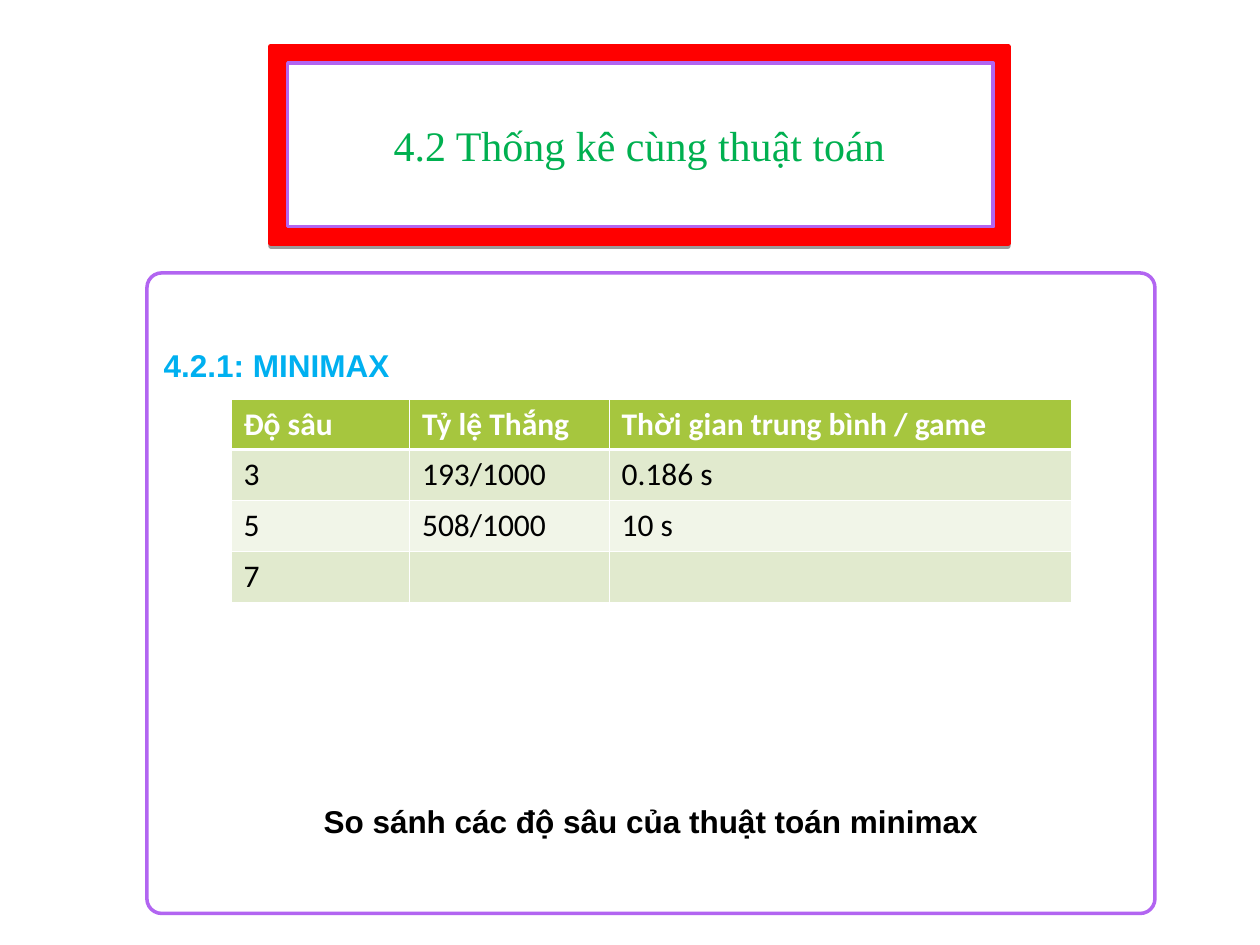
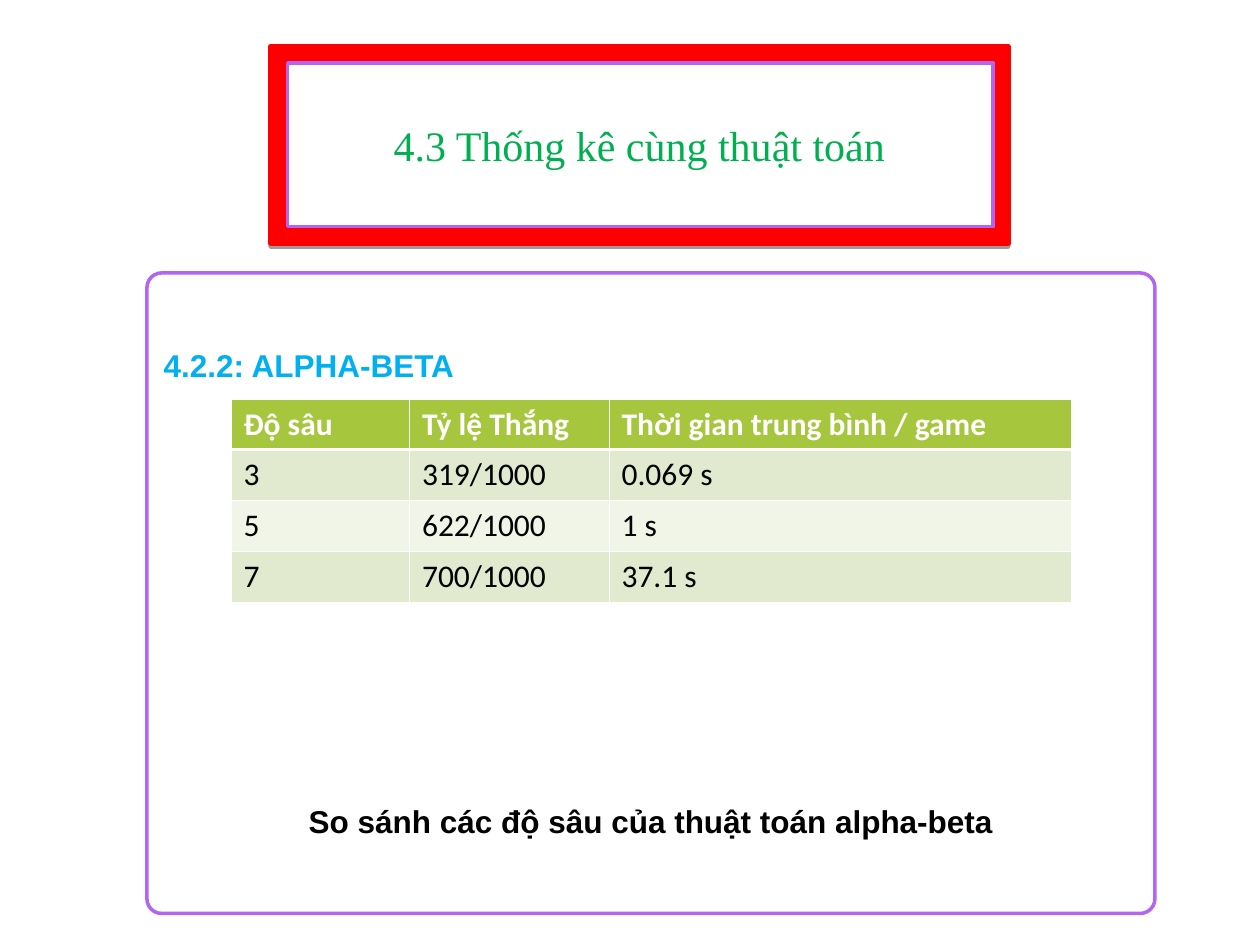
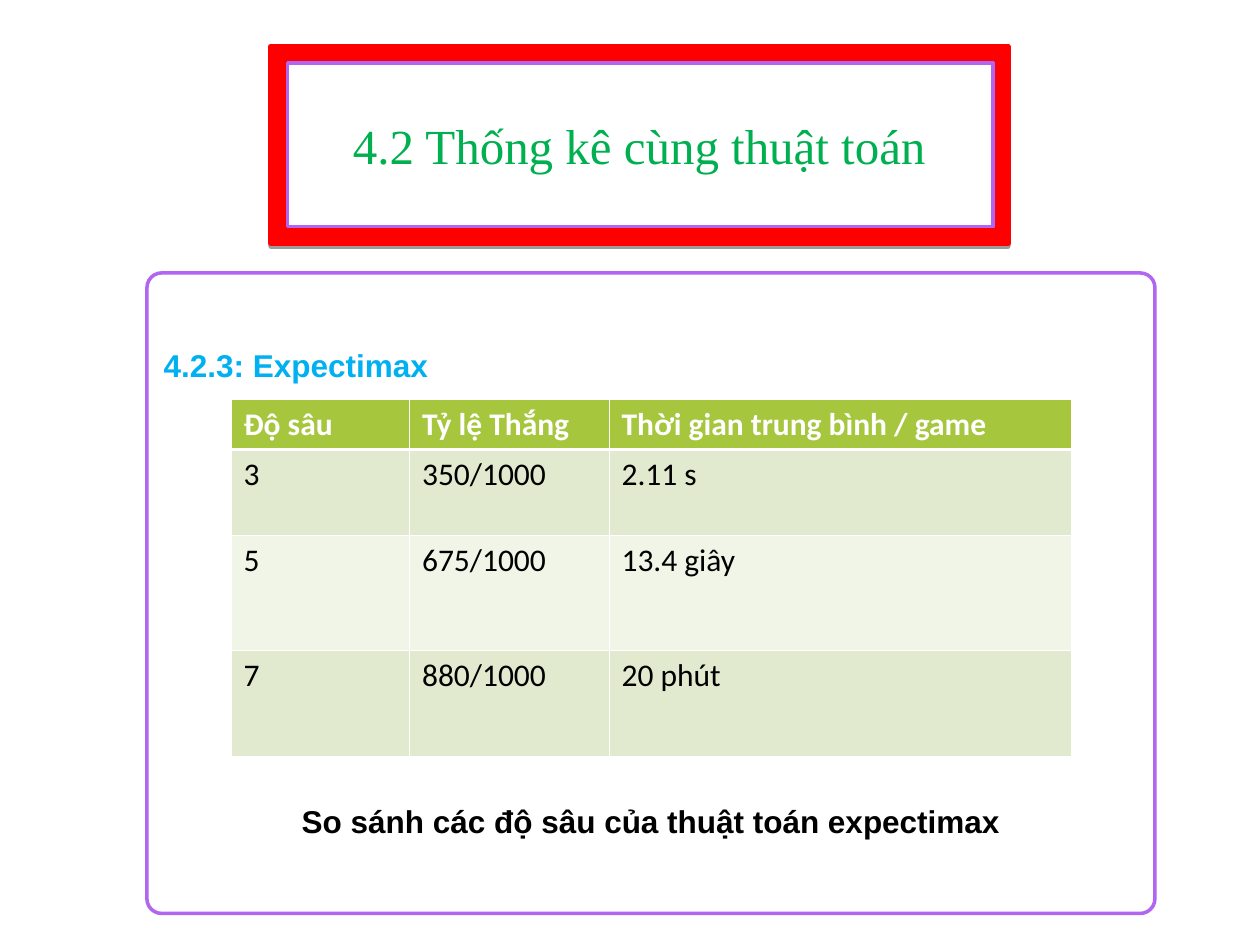
from lxml import etree
from pptx import Presentation
from pptx.dml.color import RGBColor
from pptx.enum.shapes import MSO_SHAPE
from pptx.enum.text import MSO_ANCHOR, PP_ALIGN
from pptx.oxml import parse_xml
from pptx.oxml.ns import nsdecls, qn
from pptx.util import Inches, Pt

RECTANGLE, ROUNDED = MSO_SHAPE.RECTANGLE, MSO_SHAPE.ROUNDED_RECTANGLE
MIDDLE = MSO_ANCHOR.MIDDLE
LEFT, CENTER = PP_ALIGN.LEFT, PP_ALIGN.CENTER

# Shared style
WHITE, BLACK, RED, PURPLE = "FFFFFF", "000000", "FF0000", "B265F1"
TITLE_GREEN, HEADING_BLUE = "00B050", "00B0F0"
HEADER_FILL, BAND_FILLS = "A6C63E", ("E1EACE", "F1F5E8")
TITLE_FONT, BODY_FONT, TABLE_FONT = "Times New Roman", "Arial", "Calibri"
BODY_SIZE = 18
CAPTION_GAP = 239
THIN, THICK = 0.45, 1.47

# Grid of 60 columns and 45 rows on a 10 by 7.5 inch slide
COLUMNS, ROWS = 60, 45
PANEL = (7, 13, 48, 30.5)
FRAME = (12.9, 2.2, 35.1, 9.4)
FRAME_INSIDE = (13.7, 3, 33.6, 7.8)
TITLE = (14.94, 3.84, 31, 6.1)
TABLE_LEFT, TABLE_TOP = 11, 19
TABLE_COLUMNS = (8.5, 9.5, 22)
EVEN_ROWS = (2.4, 2.44, 2.42, 2.44)
TALL_ROWS = (2.4, 4.1, 5.48, 5.02)

TABLE_HEADER = ("Độ sâu", "Tỷ lệ Thắng", "Thời gian trung bình / game")
PAGES = [
    ("4.2 Thống kê cùng thuật toán", 24, "4.2.1: MINIMAX", "minimax", EVEN_ROWS,
     [("3", "193/1000", "0.186 s"), ("5", "508/1000", "10 s"), ("7", "", "")]),
    ("4.3 Thống kê cùng thuật toán", 24, "4.2.2: ALPHA-BETA", "alpha-beta", EVEN_ROWS,
     [("3", "319/1000", "0.069 s"), ("5", "622/1000", "1 s"), ("7", "700/1000", "37.1 s")]),
    ("4.2 Thống kê cùng thuật toán", 28, "4.2.3: Expectimax", "expectimax", TALL_ROWS,
     [("3", "350/1000", "2.11 s"), ("5", "675/1000", "13.4 giây"), ("7", "880/1000", "20 phút")]),
]


def color(value):
    return RGBColor.from_string(value)


class Deck:
    def __init__(self):
        self.presentation = Presentation()
        self.presentation.slide_width = Inches(10)
        self.presentation.slide_height = Inches(7.5)
        self.column = self.presentation.slide_width / COLUMNS
        self.row = self.presentation.slide_height / ROWS
        self.slide = None

    def new_slide(self):
        self.slide = self.presentation.slides.add_slide(self.presentation.slide_layouts[6])

    def place(self, left, top, width, height):
        return (round(left * self.column), round(top * self.row),
                round(width * self.column), round(height * self.row))

    def set_text(self, paragraph, text, font, size, text_color, bold=False, align=LEFT):
        paragraph.text = text
        paragraph.alignment = align
        paragraph.font.name = font
        paragraph.font.size = Pt(size)
        paragraph.font.bold = bold
        paragraph.font.color.rgb = color(text_color)

    def box(self, area, fill, line, line_width, preset=RECTANGLE):
        shape = self.slide.shapes.add_shape(preset, *self.place(*area))
        shape.shadow.inherit = False
        shape.fill.solid()
        shape.fill.fore_color.rgb = color(fill)
        shape.line.color.rgb = color(line)
        shape.line.width = Pt(line_width)
        return shape

    def drop_shadow(self, shape):
        effects = shape._element.spPr.find(qn("a:effectLst"))
        effects.append(parse_xml(
            f'<a:outerShdw {nsdecls("a")} dist="{Pt(1.6)}" dir="5400000" rotWithShape="0">'
            f'<a:srgbClr val="{BLACK}"><a:alpha val="38000"/></a:srgbClr></a:outerShdw>'))

    def panel(self, heading, caption):
        shape = self.box(PANEL, WHITE, PURPLE, 2, ROUNDED)
        shape.adjustments[0] = 0.023
        frame = shape.text_frame
        frame.word_wrap = True
        frame.vertical_anchor = MIDDLE
        self.set_text(frame.paragraphs[0], heading, BODY_FONT, BODY_SIZE, HEADING_BLUE, True)
        paragraph = frame.add_paragraph()
        paragraph.space_before = Pt(CAPTION_GAP)
        self.set_text(paragraph, caption, BODY_FONT, BODY_SIZE, BLACK, True, CENTER)

    def title(self, text, size):
        self.drop_shadow(self.box(FRAME, RED, RED, 3))
        self.box(FRAME_INSIDE, WHITE, PURPLE, 2)
        frame = self.slide.shapes.add_textbox(*self.place(*TITLE)).text_frame
        frame.word_wrap = True
        frame.vertical_anchor = MIDDLE
        self.set_text(frame.paragraphs[0], text, TITLE_FONT, size, TITLE_GREEN, align=CENTER)

    def borders(self, cell, widths):
        properties = cell._tc.get_or_add_tcPr()
        for side, width in zip("LRTB", widths):
            line = etree.SubElement(properties, qn(f"a:ln{side}"), w=str(Pt(width)))
            fill = etree.SubElement(line, qn("a:solidFill"))
            etree.SubElement(fill, qn("a:srgbClr"), val=WHITE)

    def table(self, records, heights):
        area = self.place(TABLE_LEFT, TABLE_TOP, sum(TABLE_COLUMNS), sum(heights))
        table = self.slide.shapes.add_table(len(heights), len(TABLE_COLUMNS), *area).table
        for column, width in zip(table.columns, TABLE_COLUMNS):
            column.width = round(width * self.column)
        for index, (row, height, texts) in enumerate(
                zip(table.rows, heights, [TABLE_HEADER, *records])):
            row.height = round(height * self.row)
            header = index == 0
            fill = HEADER_FILL if header else BAND_FILLS[(index - 1) % 2]
            widths = (THIN, THIN, THICK if index == 1 else THIN, THICK if header else THIN)
            for cell, text in zip(row.cells, texts):
                self.borders(cell, widths)
                cell.fill.solid()
                cell.fill.fore_color.rgb = color(fill)
                self.set_text(cell.text_frame.paragraphs[0], text, TABLE_FONT, BODY_SIZE,
                              WHITE if header else BLACK, header)


def main():
    deck = Deck()
    for title, title_size, heading, algorithm, heights, records in PAGES:
        deck.new_slide()
        deck.panel(heading, f"So sánh các độ sâu của thuật toán {algorithm}")
        deck.title(title, title_size)
        deck.table(records, heights)
    deck.presentation.save("out.pptx")


if __name__ == "__main__":
    main()
